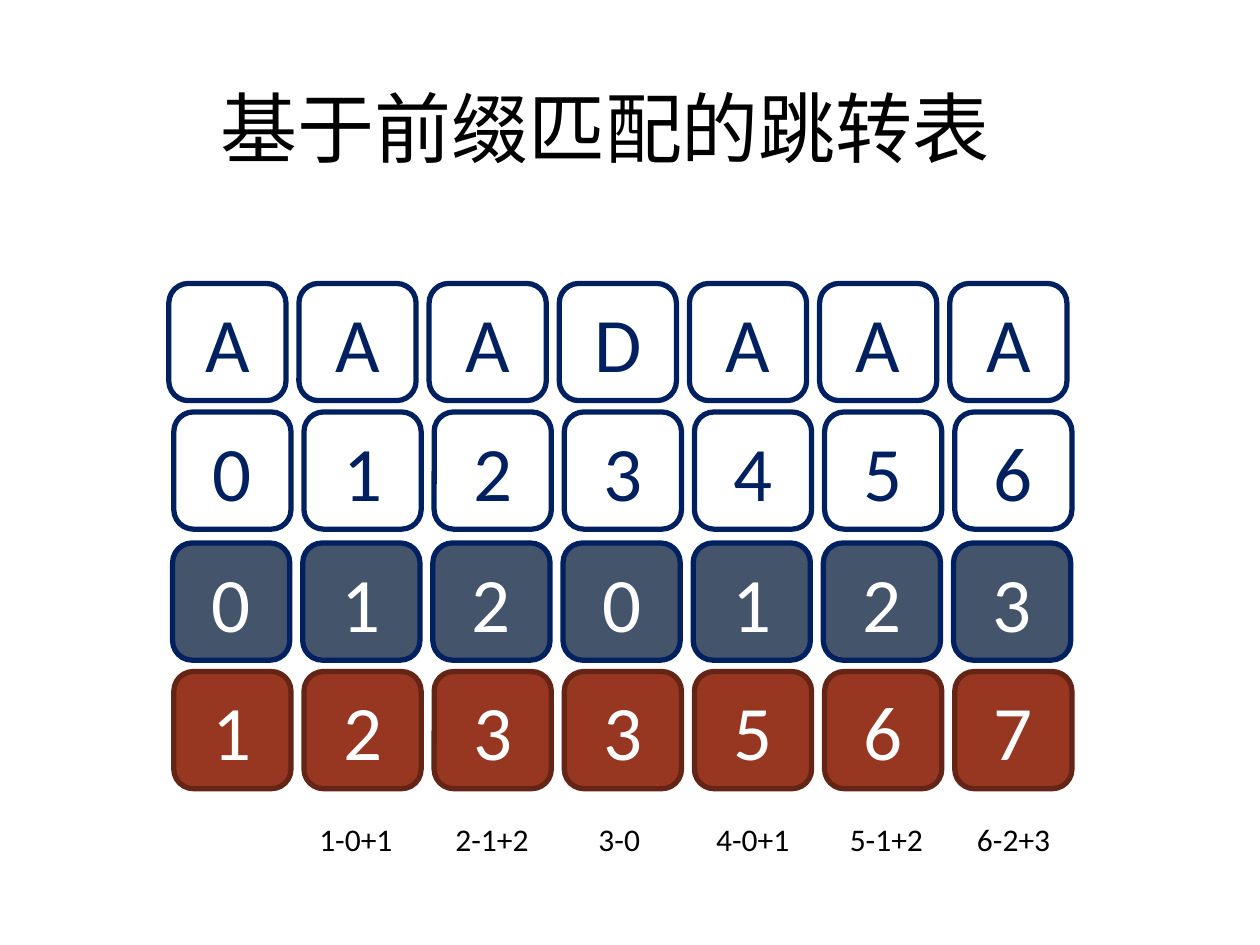
from dataclasses import dataclass

from lxml import etree
from pptx import Presentation
from pptx.dml.color import RGBColor as RGB
from pptx.enum.shapes import MSO_SHAPE
from pptx.enum.text import MSO_ANCHOR, MSO_AUTO_SIZE, PP_ALIGN
from pptx.oxml.ns import qn
from pptx.util import Inches, Pt


@dataclass(frozen=True)
class Theme:
    font: str = "Calibri"
    cjk_font: str = "Noto Sans CJK JP"
    black: RGB = RGB(0x00, 0x00, 0x00)
    white: RGB = RGB(0xFF, 0xFF, 0xFF)
    navy: RGB = RGB(0x00, 0x20, 0x60)
    slate: RGB = RGB(0x44, 0x54, 0x6A)
    red: RGB = RGB(0x97, 0x37, 0x21)
    dark_red: RGB = RGB(0x64, 0x24, 0x16)
    large: Pt = Pt(44)
    small: Pt = Pt(18)
    border: Pt = Pt(3)


theme = Theme()


def write_centred(tf, text, size, color, font=theme.font):
    tf.text = text
    p = tf.paragraphs[0]
    p.alignment = PP_ALIGN.CENTER
    r = p.runs[0]
    r.font.size = size
    r.font.color.rgb = color
    r.font.name = font
    return p


prs = Presentation()
prs.slide_width, prs.slide_height = Inches(10), Inches(7.5)
s = prs.slides.add_slide(prs.slide_layouts[5])

# Title
title = s.shapes.title
title.left, title.top = Inches(0.56), Inches(0.67)
title.width, title.height = Inches(8.49), Inches(1.06)
tf = title.text_frame
tf.auto_size = MSO_AUTO_SIZE.NONE
tf.vertical_anchor = MSO_ANCHOR.TOP
p = write_centred(tf, "基于前缀匹配的跳转表", theme.large, theme.black, theme.cjk_font)
p.line_spacing = 0.9
ea = etree.SubElement(p.runs[0].font._element, qn("a:ea"))
ea.set("typeface", theme.cjk_font)

# Pattern, index, prefix match and jump rows
CELL, PITCH = 0.93, 1.033
rows = [
    # left, top, values, fill, border, text colour
    (1.34, 2.25, "AAADAAA", theme.white, theme.navy, theme.navy),
    (1.38, 3.27, "0123456", theme.white, theme.navy, theme.navy),
    (1.37, 4.31, "0120123", theme.slate, theme.navy, theme.white),
    (1.38, 5.33, "1233567", theme.red, theme.dark_red, theme.white),
]
for left, top, values, fill, border, color in rows:
    for col, value in enumerate(values):
        sp = s.shapes.add_shape(
            MSO_SHAPE.ROUNDED_RECTANGLE,
            Inches(left + col * PITCH), Inches(top), Inches(CELL), Inches(CELL))
        sp.shadow.inherit = False
        sp.fill.solid()
        sp.fill.fore_color.rgb = fill
        sp.line.color.rgb = border
        sp.line.width = theme.border
        sp.text_frame.vertical_anchor = MSO_ANCHOR.MIDDLE
        write_centred(sp.text_frame, value, theme.large, color)

# How each jump is worked out
formulas = [
    (2.31, "1-0+1"), (3.39, "2-1+2"), (4.40, "3-0"),
    (5.46, "4-0+1"), (6.52, "5-1+2"), (7.53, "6-2+3"),
]
for left, formula in formulas:
    box = s.shapes.add_textbox(Inches(left), Inches(6.46), Inches(1.03), Inches(0.4))
    tf = box.text_frame
    tf.word_wrap = True
    tf.auto_size = MSO_AUTO_SIZE.SHAPE_TO_FIT_TEXT
    write_centred(tf, formula, theme.small, theme.black)

prs.save("out.pptx")
